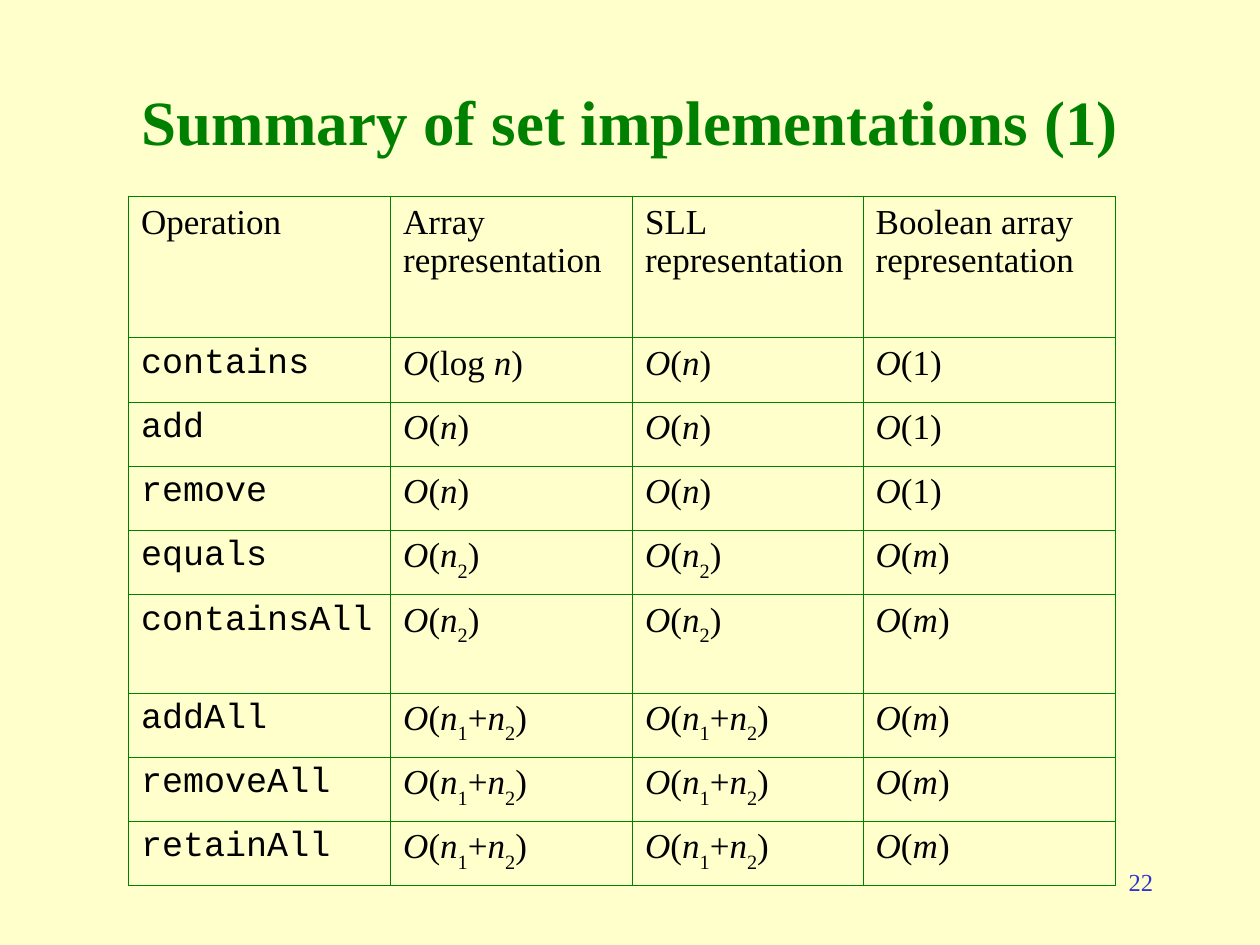
"""Build a slide that compares the costs of set operations in a table."""
from itertools import groupby

from lxml.etree import SubElement
from pptx import Presentation
from pptx.dml.color import RGBColor
from pptx.enum.text import MSO_ANCHOR as Anchor, PP_ALIGN as Align
from pptx.oxml.ns import qn
from pptx.util import Inches, Pt

CREAM = RGBColor(0xFF, 0xFF, 0xCC)
GREEN = RGBColor(0x00, 0x80, 0x00)
BLUE = RGBColor(0x33, 0x33, 0xCC)
BLACK = RGBColor(0x00, 0x00, 0x00)
SERIF, MONO = "Times New Roman", "Courier New"
THIN, THICK = Pt(0.45), Pt(1.08)

COLUMN_WIDTHS = [2.08, 1.92, 1.83, 2]
HEADER_HEIGHT, ROW_HEIGHT, TALL_HEIGHT = 1.12, 0.51, 0.78
HEADINGS = ["Operation", "Array representation", "SLL representation",
            "Boolean array representation"]
COSTS = [
    ("contains", "O(log n)", "O(n)", "O(1)"),
    ("add", "O(n)", "O(n)", "O(1)"),
    ("remove", "O(n)", "O(n)", "O(1)"),
    ("equals", "O(n2)", "O(n2)", "O(m)"),
    ("containsAll", "O(n2)", "O(n2)", "O(m)"),
    ("addAll", "O(n1+n2)", "O(n1+n2)", "O(m)"),
    ("removeAll", "O(n1+n2)", "O(n1+n2)", "O(m)"),
    ("retainAll", "O(n1+n2)", "O(n1+n2)", "O(m)"),
]


def write(para, text, *, size=20, font=SERIF, color=BLACK, bold=False,
          italic=False, subscript=False):
    span = para.add_run()
    span.text = text
    span.font.size = Pt(size)
    span.font.name = font
    span.font.color.rgb = color
    span.font.bold = bold
    span.font.italic = italic
    if subscript:
        span.font._element.set("baseline", "-30000")


def write_formula(para, formula):
    def kind(pair):
        before, letter = pair
        return letter in "Onm", letter.isdigit() and before == "n"

    pairs = zip(" " + formula, formula)
    for (italic, subscript), group in groupby(pairs, key=kind):
        text = "".join(letter for _, letter in group)
        write(para, text, italic=italic, subscript=subscript)


def set_borders(cell, **widths):
    properties = cell._tc.get_or_add_tcPr()
    for side in "LRTB":
        line = SubElement(properties, qn(f"a:ln{side}"), w=str(widths[side]))
        fill = SubElement(line, qn("a:solidFill"))
        SubElement(fill, qn("a:srgbClr"), val=str(GREEN))


class SlideBuilder:
    def __init__(self, deck):
        self.page = deck.slides.add_slide(deck.slide_layouts[6])
        self.page.background.fill.solid()
        self.page.background.fill.fore_color.rgb = CREAM

    def text(self, text, left, top, width, height, *, align,
             anchor=Anchor.TOP, **style):
        box = self.page.shapes.add_textbox(
            Inches(left), Inches(top), Inches(width), Inches(height))
        box.text_frame.word_wrap = True
        box.text_frame.vertical_anchor = anchor
        para = box.text_frame.paragraphs[0]
        para.alignment = align
        write(para, text, **style)

    def cost_table(self, left, top):
        heights = [HEADER_HEIGHT] + [
            TALL_HEIGHT if row[0] == "containsAll" else ROW_HEIGHT
            for row in COSTS]
        table = self.page.shapes.add_table(
            len(heights), len(COLUMN_WIDTHS), Inches(left), Inches(top),
            Inches(sum(COLUMN_WIDTHS)), Inches(sum(heights))).table
        table.first_row = table.horz_banding = False
        for column, width in zip(table.columns, COLUMN_WIDTHS):
            column.width = Inches(width)
        for row, height in zip(table.rows, heights):
            row.height = Inches(height)
        for r, texts in enumerate([HEADINGS, *COSTS]):
            for c, text in enumerate(texts):
                cell = table.cell(r, c)
                set_borders(cell, L=THICK if c == 0 else THIN, R=THIN,
                            T=THICK if r < 2 else THIN,
                            B=THICK if r in (0, len(COSTS)) else THIN)
                cell.fill.background()
                para = cell.text_frame.paragraphs[0]
                if r == 0:
                    write(para, text)
                elif c == 0:
                    write(para, text, font=MONO)
                else:
                    write_formula(para, text)


def main():
    deck = Presentation()
    deck.slide_width, deck.slide_height = Inches(10), Inches(7.5)
    builder = SlideBuilder(deck)
    builder.text("22", 7.17, 6.83, 2.08, 0.5, align=Align.RIGHT,
                 size=14, color=BLUE)
    builder.text("Summary of set implementations (1)", 0.75, 0.58, 8.5, 0.75,
                 align=Align.CENTER, anchor=Anchor.MIDDLE,
                 size=36, color=GREEN, bold=True)
    builder.cost_table(1.02, 1.56)
    deck.save("out.pptx")


if __name__ == "__main__":
    main()
